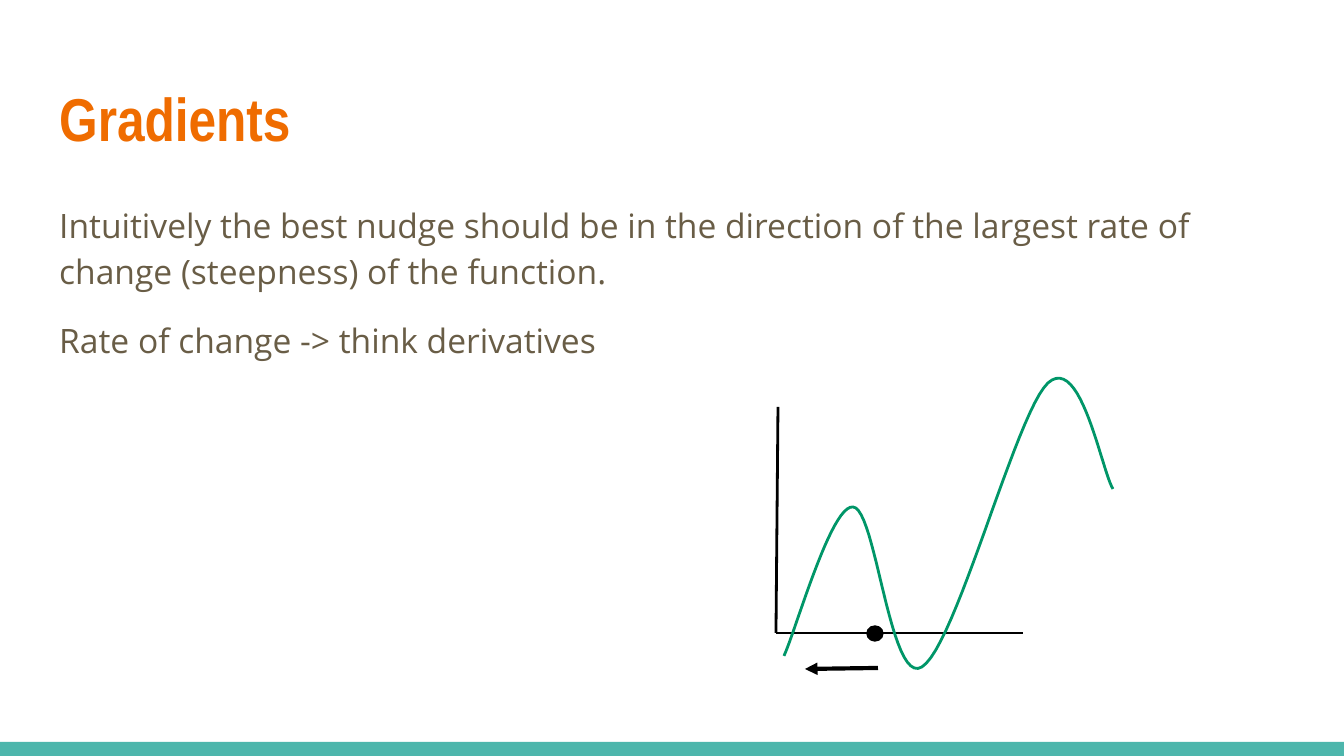
import pptx
import pptx.util
import pptx.dml.color
import pptx.enum.shapes
import pptx.enum.text
import pptx.oxml
import pptx.oxml.ns

RGB = pptx.dml.color.RGBColor
SHAPE = pptx.enum.shapes.MSO_SHAPE
ANCHOR = pptx.enum.text.MSO_ANCHOR
Pt = pptx.util.Pt

WHITE = RGB(0xFF, 0xFF, 0xFF)
BLACK = RGB(0, 0, 0)
TEAL = RGB(0x4D, 0xB6, 0xAC)
ORANGE = RGB(0xEF, 0x6C, 0x00)
BROWN = RGB(0x69, 0x5D, 0x46)
GREEN = RGB(0x00, 0x96, 0x68)

SCALE = 914400 / 134.4
WIDTH, HEIGHT = 1344, 756
LEFT, SPAN = 46, 1252
STEPS = 24

TITLE = ["Gradients"]
BODY = [
    "Intuitively the best nudge should be in the direction of the largest "
    "rate of change (steepness) of the function.",
    "Rate of change -> think derivatives",
]
AXES = [((778, 407), (776, 633)), ((1023, 633), (776, 633))]
ARROW = ((878, 668), (805, 669))
DOT = (867, 626, 16, 15)
BAR = (0, 742, WIDTH, 14)
CURVE = [
    (784, 656),
    (796, 630), (831, 505), (853, 507),
    (876, 508), (890, 687), (922, 667),
    (956, 646), (1016, 413), (1048, 383),
    (1081, 353), (1102, 472), (1113, 489),
]


def emu(*vals):
    return [round(v * SCALE) for v in vals]


def add_text(slide, top, height, lines, font, size, color, bold=False):
    frame = slide.shapes.add_textbox(*emu(LEFT, top, SPAN, height)).text_frame
    frame.word_wrap = True
    frame.margin_left = frame.margin_right = pptx.util.Inches(0.1)
    frame.margin_top = frame.margin_bottom = pptx.util.Inches(0.1)
    for i, line in enumerate(lines):
        para = frame.add_paragraph() if i else frame.paragraphs[0]
        para.text = line
        para.font.name = font
        para.font.size = Pt(size)
        para.font.bold = bold
        para.font.color.rgb = color
    return frame


def add_solid(slide, kind, box, color):
    shape = slide.shapes.add_shape(kind, *emu(*box))
    shape.shadow.inherit = False
    shape.fill.solid()
    shape.fill.fore_color.rgb = color
    shape.line.fill.background()
    return shape


def add_line(slide, start, end, width):
    line = slide.shapes.add_connector(
        pptx.enum.shapes.MSO_CONNECTOR.STRAIGHT, *emu(*start, *end))
    line.line.color.rgb = BLACK
    line.line.width = Pt(width)
    props = line._element.spPr
    props.append(pptx.oxml.ns.qn("a:effectLst") and
                 pptx.oxml.parse_xml(f"<a:effectLst {pptx.oxml.ns.nsdecls('a')}/>"))
    return line


def bezier(nodes, t):
    u = 1 - t
    parts = (u ** 3, 3 * u * u * t, 3 * u * t * t, t ** 3)
    return emu(*(sum(w * n[axis] for w, n in zip(parts, nodes))
                 for axis in (0, 1)))


def add_curve(slide):
    points = [bezier(CURVE[i:i + 4], step / STEPS)
              for i in range(0, len(CURVE) - 1, 3)
              for step in range(1, STEPS + 1)]
    path = slide.shapes.build_freeform(*emu(*CURVE[0]))
    path.add_line_segments(points, close=False)
    curve = path.convert_to_shape()
    curve.shadow.inherit = False
    curve.fill.background()
    curve.line.color.rgb = GREEN
    curve.line.width = Pt(1.5)


def main():
    deck = pptx.Presentation()
    deck.slide_width, deck.slide_height = emu(WIDTH, HEIGHT)
    slide = deck.slides.add_slide(deck.slide_layouts[6])
    slide.background.fill.solid()
    slide.background.fill.fore_color.rgb = WHITE

    add_solid(slide, SHAPE.RECTANGLE, BAR, TEAL)
    title = add_text(slide, 66, 103, TITLE, "Arial Narrow", 32.4, ORANGE, True)
    title.vertical_anchor = ANCHOR.MIDDLE
    body = add_text(slide, 185, 208, BODY, "Open Sans", 18, BROWN)
    for para in body.paragraphs:
        para.line_spacing = 1.15
    para.space_before = para.space_after = Pt(12)

    for start, end in AXES:
        add_line(slide, start, end, 1.5)
    add_curve(slide)
    dot = add_solid(slide, SHAPE.OVAL, DOT, BLACK)
    dot.line.color.rgb = BLACK
    dot.line.width = Pt(0.75)
    arrow = add_line(slide, *ARROW, 2.25)
    arrow.line._get_or_add_ln().append(pptx.oxml.parse_xml(
        f'<a:tailEnd {pptx.oxml.ns.nsdecls("a")} type="triangle"/>'))

    deck.save("out.pptx")


if __name__ == "__main__":
    main()
